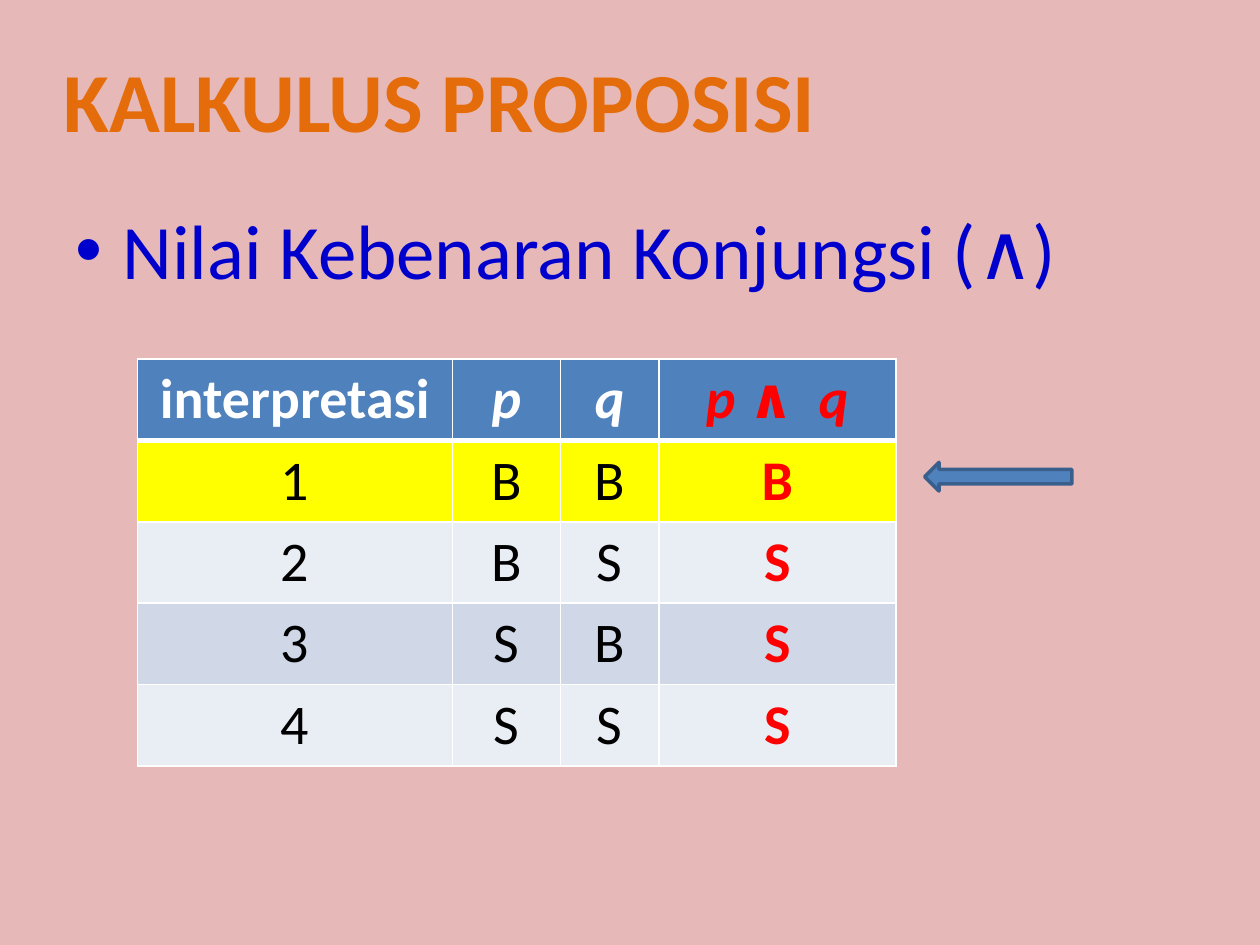
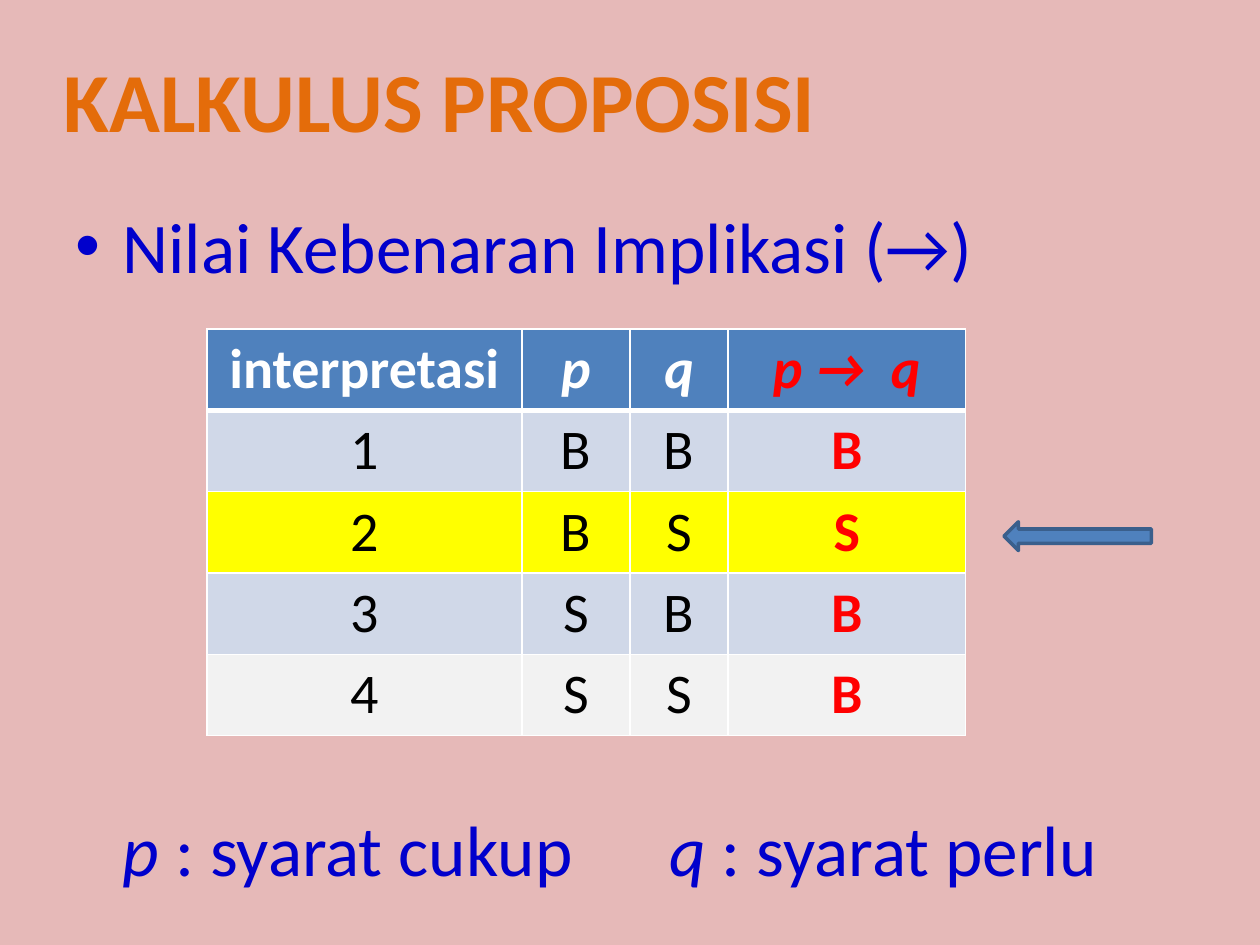
from itertools import product

from lxml import etree
from pptx import Presentation
from pptx.dml.color import RGBColor
from pptx.enum.shapes import MSO_SHAPE
from pptx.enum.text import MSO_AUTO_SIZE, PP_ALIGN
from pptx.oxml.ns import qn
from pptx.util import Cm, Pt

CENTER, LEFT = PP_ALIGN.CENTER, PP_ALIGN.LEFT
LEFT_ARROW = MSO_SHAPE.LEFT_ARROW
GROW = MSO_AUTO_SIZE.SHAPE_TO_FIT_TEXT

PINK, ORANGE, NAVY = "E6B9B8", "E46C0A", "0000CC"
BLUE, DARK_BLUE = "4F81BD", "3A5F8C"
WHITE, BLACK, RED, YELLOW = "FFFFFF", "000000", "FF0000", "FFFF00"
BAND_DARK, BAND_LIGHT, BAND_GREY = "D0D8E8", "E9EDF4", "F2F2F2"

COLUMN_WIDTHS = (6.35, 2.18, 1.98, 4.78)
ROW_HEIGHT = 1.64


def color(hex_code):
    return RGBColor.from_string(hex_code)


class LogicDeck:
    """Holds the shared style and the slide being built."""

    font = "Calibri"
    title_size = 48
    table_size = 32

    def __init__(self):
        self.deck = Presentation()
        self.deck.slide_width = Cm(25.4)
        self.deck.slide_height = Cm(19.05)
        self.page = None

    def new_page(self, title):
        self.page = self.deck.slides.add_slide(self.deck.slide_layouts[6])
        background = self.page.background.fill
        background.solid()
        background.fore_color.rgb = color(PINK)
        self.title(title)

    def style(self, span, size, hex_code, bold=False, italic=False):
        span.font.name = self.font
        span.font.size = Pt(size)
        span.font.color.rgb = color(hex_code)
        span.font.bold = bold
        span.font.italic = italic

    def text_box(self, left, top, width, height):
        box = self.page.shapes.add_textbox(Cm(left), Cm(top), Cm(width), Cm(height))
        box.text_frame.word_wrap = True
        return box.text_frame

    def title(self, text):
        frame = self.text_box(0.94, 0.86, 15.85, 2.31)
        frame.word_wrap = False
        frame.auto_size = GROW
        frame.text = text
        para = frame.paragraphs[0]
        para.alignment = CENTER
        self.style(para.runs[0], self.title_size, ORANGE, bold=True)

    def bullet(self, text, size):
        frame = self.text_box(1.27, 3.96, 22.86, 2.2)
        frame.text = text
        para = frame.paragraphs[0]
        para.alignment = LEFT
        self.style(para.runs[0], size, NAVY)
        properties = para._p.get_or_add_pPr()
        properties.set("marL", str(Cm(0.95)))
        properties.set("indent", str(-Cm(0.95)))
        etree.SubElement(properties, qn("a:buFont")).set("typeface", "Arial")
        etree.SubElement(properties, qn("a:buChar")).set("char", "•")

    def condition(self, left, variable, meaning, size):
        """Writes an italic variable followed by its meaning."""
        frame = self.text_box(left, 16.1, 10.6, 2)
        para = frame.paragraphs[0]
        for text, italic in ((variable, True), (meaning, False)):
            span = para.add_run()
            span.text = text
            self.style(span, size, NAVY, italic=italic)

    def border(self, cell, top, bottom):
        properties = cell._tc.get_or_add_tcPr()
        for side, width in (("L", 1), ("R", 1), ("T", top), ("B", bottom)):
            line = etree.SubElement(properties, qn(f"a:ln{side}"), w=str(Pt(width)))
            fill = etree.SubElement(line, qn("a:solidFill"))
            etree.SubElement(fill, qn("a:srgbClr"), val=WHITE)

    def truth_table(self, left, top, symbol, operation, row_fills):
        rows = [("interpretasi", "p", "q", f"p {symbol}  q")]
        for number, (p, q) in enumerate(product((True, False), repeat=2), start=1):
            values = ["B" if value else "S" for value in (p, q, operation(p, q))]
            rows.append((str(number), *values))

        table = self.page.shapes.add_table(
            len(rows), len(COLUMN_WIDTHS), Cm(left), Cm(top),
            Cm(sum(COLUMN_WIDTHS)), Cm(ROW_HEIGHT * len(rows))).table
        table.horz_banding = False
        for column, width in zip(table.columns, COLUMN_WIDTHS):
            column.width = Cm(width)

        result = len(COLUMN_WIDTHS) - 1
        for i, (texts, fill) in enumerate(zip(rows, (BLUE, *row_fills))):
            header = i == 0
            table.rows[i].height = Cm(ROW_HEIGHT)
            for j, text in enumerate(texts):
                cell = table.cell(i, j)
                self.border(cell, top=3 if i == 1 else 1, bottom=3 if header else 1)
                cell.fill.solid()
                cell.fill.fore_color.rgb = color(fill)
                cell.text = text
                para = cell.text_frame.paragraphs[0]
                para.alignment = CENTER
                ink = RED if j == result else WHITE if header else BLACK
                self.style(para.runs[0], self.table_size, ink,
                           bold=header or j == result, italic=header and j > 0)

    def row_arrow(self, left, top):
        arrow = self.page.shapes.add_shape(
            LEFT_ARROW, Cm(left), Cm(top), Cm(2.97), Cm(0.58))
        arrow.shadow.inherit = False
        arrow.fill.solid()
        arrow.fill.fore_color.rgb = color(BLUE)
        arrow.line.color.rgb = color(DARK_BLUE)
        arrow.line.width = Pt(2)


def main():
    logic = LogicDeck()

    # Conjunction
    logic.new_page("KALKULUS PROPOSISI")
    logic.bullet("Nilai Kebenaran Konjungsi (∧)", 44)
    logic.truth_table(2.77, 7.24, "∧", lambda p, q: p and q,
                      (YELLOW, BAND_LIGHT, BAND_DARK, BAND_LIGHT))
    logic.row_arrow(18.64, 9.32)

    # Implication
    logic.new_page("KALKULUS PROPOSISI")
    logic.bullet("Nilai Kebenaran Implikasi (→)", 40.7)
    logic.truth_table(4.17, 6.63, "→", lambda p, q: not p or q,
                      (BAND_DARK, YELLOW, BAND_DARK, BAND_GREY))
    logic.row_arrow(20.24, 10.52)
    logic.condition(2.22, "p", " : syarat cukup", 40.7)
    logic.condition(13.24, "q", " : syarat perlu", 40.7)

    logic.deck.save("out.pptx")


if __name__ == "__main__":
    main()
